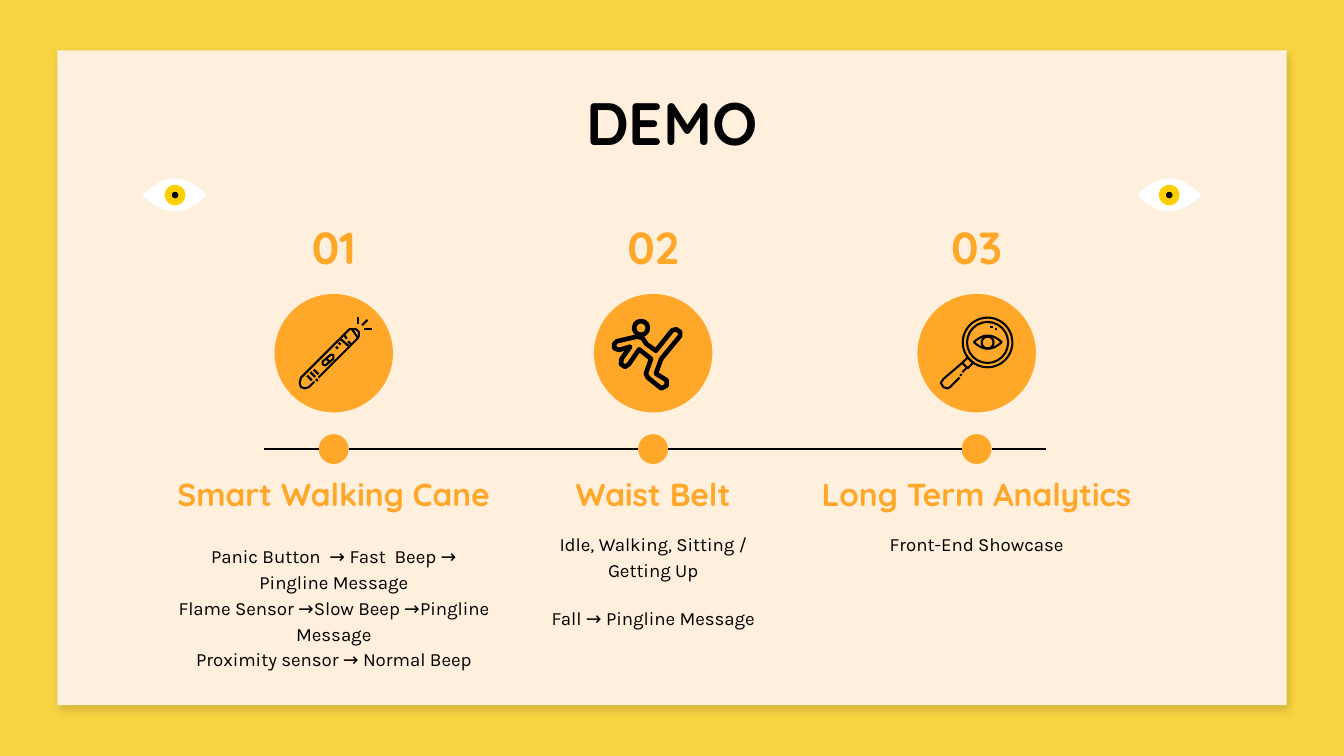
"""Build the DEMO slide: a three-step timeline with line icons."""
from lxml.etree import SubElement
from pptx import Presentation
from pptx.dml.color import RGBColor
from pptx.enum.shapes import MSO_CONNECTOR, MSO_SHAPE
from pptx.enum.text import MSO_ANCHOR, PP_ALIGN
from pptx.oxml.ns import qn
from pptx.util import Pt

YELLOW = RGBColor(0xF6, 0xD4, 0x42)
CREAM = RGBColor(0xFF, 0xEF, 0xDD)
ORANGE = RGBColor(0xFF, 0xA7, 0x28)
IRIS = RGBColor(0xFF, 0xCF, 0x00)
WHITE = RGBColor(0xFF, 0xFF, 0xFF)
INK = RGBColor(0x01, 0x01, 0x01)
BLACK = RGBColor(0x00, 0x00, 0x00)

TITLE = {"size": Pt(32), "name": "Quicksand", "bold": True}
NUMBER = {"size": Pt(24), "name": "Quicksand", "bold": True}
HEADING = {"size": Pt(17), "name": "Quicksand", "bold": True}
BODY = {"size": Pt(10), "name": "Karla", "bold": False}
FRAME = {"word_wrap": True, "margin_left": Pt(7.2), "margin_right": Pt(7.2),
         "margin_top": Pt(7.2), "margin_bottom": Pt(7.2)}

AXIS_Y, NODE_R = 240.6, 8
GRID = Pt(0.72)

deck = Presentation()
deck.slide_width, deck.slide_height = Pt(720), Pt(405)
slide = deck.slides.add_slide(deck.slide_layouts[6])
slide.background.fill.solid()
slide.background.fill.fore_color.rgb = YELLOW
shapes = slide.shapes


def write(lines, center, top, width, height, style, color, spacing=1, gap=0):
    box = shapes.add_textbox(Pt(center - width / 2), Pt(top), Pt(width), Pt(height))
    frame = box.text_frame
    for key, value in FRAME.items():
        setattr(frame, key, value)
    frame.vertical_anchor = MSO_ANCHOR.TOP if style is BODY else MSO_ANCHOR.MIDDLE
    for index, line in enumerate(lines):
        paragraph = frame.paragraphs[0] if index == 0 else frame.add_paragraph()
        paragraph.alignment = PP_ALIGN.CENTER
        paragraph.line_spacing = spacing
        paragraph.space_before = Pt(gap if index else 0)
        run = paragraph.add_run()
        run.text = line
        for key, value in style.items():
            setattr(run.font, key, value)
        run.font.color.rgb = color


def paint(shape, fill=None, width=0):
    shape.shadow.inherit = False
    if fill is None:
        shape.fill.background()
    else:
        shape.fill.solid()
        shape.fill.fore_color.rgb = fill
    if width:
        shape.line.color.rgb = BLACK
        shape.line.width = Pt(width)
    else:
        shape.line.fill.background()


panel = shapes.add_shape(MSO_SHAPE.RECTANGLE, Pt(30.8), Pt(27), Pt(658.5), Pt(350.8))
paint(panel, CREAM)
shadow = SubElement(panel._element.spPr.find(qn("a:effectLst")), qn("a:outerShdw"),
                    blurRad=str(Pt(4.5)), dist=str(Pt(3)), dir=str(64 * 60000),
                    algn="bl", rotWithShape="0")
shade = SubElement(shadow, qn("a:srgbClr"), val="000000")
SubElement(shade, qn("a:alpha"), val="14000")

write(["DEMO"], 360, 42.5, 607, 45.4, TITLE, INK)

steps = [
    (178.8, "01", "Smart Walking Cane", 183, 283, 183, 0,
     ["Panic Button  → Fast  Beep → Pingline Message",
      "Flame Sensor →Slow Beep →Pingline Message",
      "Proximity sensor → Normal Beep"]),
    (349.9, "02", "Waist Belt", 148.3, 276.7, 148.3, 12,
     ["Idle, Walking, Sitting / Getting Up", "Fall → Pingline Message"]),
    (523.2, "03", "Long Term Analytics", 187.2, 276.7, 148.3, 0,
     ["Front-End Showcase"]),
]
badges = []
for center, number, heading, heading_w, body_top, body_w, gap, body in steps:
    write([number], center, 113.5, 100, 36.7, NUMBER, ORANGE)
    write([heading], center, 246.2, heading_w, 36.7, HEADING, ORANGE)
    write(body, center, body_top, body_w, 80.6 if body_w > 150 else 45.4,
          BODY, BLACK, 1.15, gap)
    badges += [(center, 189.2, 31.7, ORANGE, 0), (center, AXIS_Y, NODE_R, ORANGE, 0)]

links = []
starts = [141.3] + [step[0] + NODE_R for step in steps]
ends = [step[0] - NODE_R for step in steps] + [560.6]
for start, end in zip(starts, ends):
    links.append(([(start / 0.72, AXIS_Y / 0.72), (end / 0.72, AXIS_Y / 0.72)], 0.75))

quarter = []
for step in range(11):
    t = step / 10
    s = 1 - t
    quarter.append((1.62 * s * s * t + t * t * (3 - 2 * t), s * s * (s + 3 * t)))
almond = (quarter + [(x, -y) for x, y in quarter[::-1]]
          + [(-x, -y) for x, y in quarter] + [(-x, y) for x, y in quarter[::-1]])

outlines = []
for x, y, half_w, half_h, fill, width in [(130, 145, 24, 12.3, WHITE, 0),
                                          (870, 145, 24, 12.3, WHITE, 0),
                                          (735, 254.6, 10.3, 4.9, None, 1.1)]:
    outlines.append(([(x + half_w * u, y + half_h * v) for u, v in almond], fill, width, True))
rings = []
for center in (93.8, 626.4):
    rings += [(center, 104.5, 5.5, IRIS, 0), (center, 104.5, 1.75, BLACK, 0)]

cane = [(234, 284), (230, 288), (227, 289), (224, 288), (223, 285), (224, 281),
        (260, 245), (262, 245), (266, 251), (266, 252), (237, 281)]
cane_tip = [(262, 245), (265, 245), (267, 247), (267, 250), (266, 252)]
cane_button = [(246, 264), (240, 269), (240, 271), (242, 272), (248, 267), (248, 264)]
for part, closed in [(cane, False), (cane_tip, False), (cane_button, True)]:
    outlines.append((part, None, 1.1, closed))
for line in [[(253, 252), (260, 258)], [(256, 249), (258, 252)], [(259, 254), (261, 256)],
             [(243, 267), (245, 269)], [(235, 282), (236.5, 283.5)],
             [(252, 255), (253.5, 256.5)], [(250, 258), (251.5, 259.5)],
             [(271, 245), (276.5, 245)], [(266.5, 236), (266.5, 241)],
             [(273.5, 238), (269.5, 242)]]:
    links.append((line, 1.2))
for x, y in [(228.5, 279.5), (231, 277), (233.5, 275)]:
    links.append(([(x, y), (x + 3.5, y + 3.5)], 1.2))

falling_body = [(457, 256), (459, 254), (474, 250.5), (478, 251.5), (481, 256), (488, 261),
                (500, 246), (503, 245), (506, 247), (506, 250), (492, 267), (488, 278),
                (496, 283), (496, 287), (492, 289), (482, 281), (480.5, 278), (484.5, 267),
                (475.5, 260), (468, 271), (465, 273), (462, 271), (462.5, 267),
                (469, 258), (460.5, 260.5), (457, 259)]
outlines.append((falling_body, None, 2.5, True))
rings.append((343.4, 175.7, 3.7, None, 2.5))

lens_handle = [(716, 270), (702, 282), (700, 285), (702, 288), (705, 289), (707, 288), (714, 281)]
lens_collar = [(720, 266), (716, 270), (720, 274), (724, 270)]
outlines += [(lens_handle, None, 1.1, False), (lens_collar, None, 1.1, True)]
links += [([(719, 274), (716, 277)], 1.1), ([(714.5, 278.5), (715.5, 279.5)], 1.2),
          ([(740, 245), (742, 245)], 1.1), ([(737, 243.5), (739, 243.5)], 1.1)]
for radius in (13.3, 11, 3.2):
    rings.append((529.1, 183.5, radius, None, 1.1))

for layer in (badges, outlines, rings):
    for item in layer:
        if layer is outlines:
            points, fill, width, closed = item
            corners = [(x * GRID, y * GRID) for x, y in points]
            builder = shapes.build_freeform(*corners[0], scale=1.0)
            builder.add_line_segments(corners[1:], close=closed)
            paint(builder.convert_to_shape(), fill, width)
        else:
            x, y, radius, fill, width = item
            oval = shapes.add_shape(MSO_SHAPE.OVAL, Pt(x - radius), Pt(y - radius),
                                    Pt(2 * radius), Pt(2 * radius))
            paint(oval, fill, width)

for (begin, end), width in links:
    tips = [round(value * GRID) for value in begin + end]
    link = shapes.add_connector(MSO_CONNECTOR.STRAIGHT, *tips)
    link.line.color.rgb = INK
    link.line.width = Pt(width)
    SubElement(link._element.spPr, qn("a:effectLst"))

deck.save("out.pptx")
